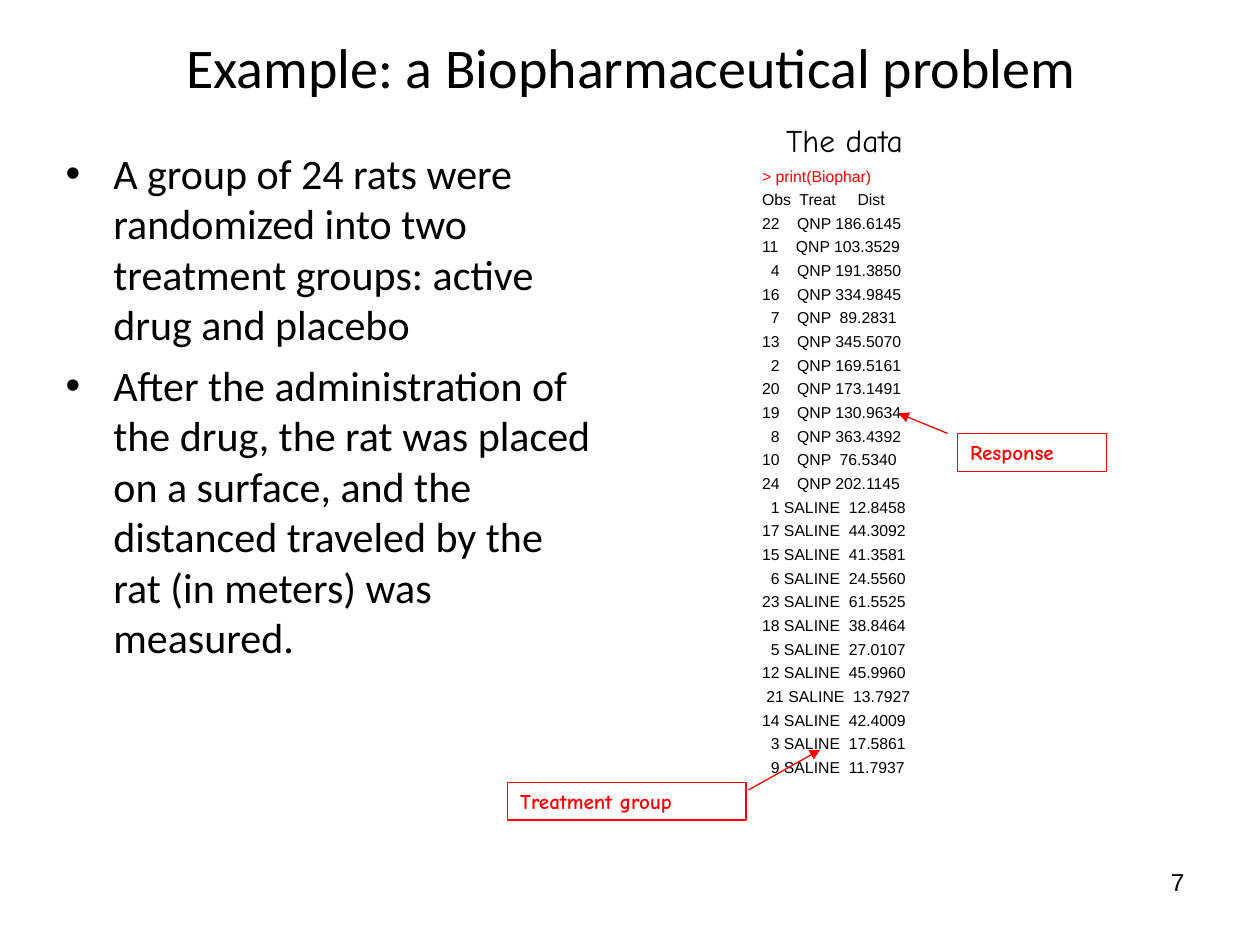
from lxml import etree
from pptx import Presentation
from pptx.dml.color import RGBColor
from pptx.enum.shapes import MSO_CONNECTOR as Connector, MSO_SHAPE as Shape
from pptx.enum.text import MSO_ANCHOR as Anchor, MSO_AUTO_SIZE as AutoSize, PP_ALIGN as Align
from pptx.oxml.ns import qn
from pptx.util import Inches, Pt

BLACK, RED = "000000", "FF0000"

POINTS = [
    "A group of 24 rats were randomized into two treatment groups: active drug and placebo",
    "After the administration of the drug, the rat was placed on a surface, and the "
    "distanced traveled by the rat (in meters) was measured.",
]

# Console printout, padded as the program printed it
PRINTOUT = """\
> print(Biophar)
Obs  Treat     Dist
22    QNP 186.6145
11    QNP 103.3529
  4    QNP 191.3850
16    QNP 334.9845
  7    QNP  89.2831
13    QNP 345.5070
  2    QNP 169.5161
20    QNP 173.1491
19    QNP 130.9634
  8    QNP 363.4392
10    QNP  76.5340
24    QNP 202.1145
  1 SALINE  12.8458
17 SALINE  44.3092
15 SALINE  41.3581
  6 SALINE  24.5560
23 SALINE  61.5525
18 SALINE  38.8464
  5 SALINE  27.0107
12 SALINE  45.9960
 21 SALINE  13.7927
14 SALINE  42.4009
  3 SALINE  17.5861
  9 SALINE  11.7937""".split("\n")


def color(value):
    return RGBColor.from_string(value)


def place(shape, box):
    for name, value in zip(("left", "top", "width", "height"), box):
        setattr(shape, name, Inches(value))


def write(shape, lines, font, size, fill=BLACK, bold=False, anchor=Anchor.TOP, **para_format):
    """Fill a shape with one paragraph per line, all formatted alike."""
    frame = shape.text_frame
    frame.word_wrap = True
    frame.auto_size = AutoSize.NONE
    frame.vertical_anchor = anchor
    frame.text = "\n".join(lines)
    for para in frame.paragraphs:
        for name, value in {"alignment": Align.LEFT, **para_format}.items():
            setattr(para, name, value)
        for span in para.runs:
            for name, value in {"name": font, "size": Pt(size), "bold": bold}.items():
                setattr(span.font, name, value)
            span.font.color.rgb = color(fill)
    return frame


def add_text(page, box, lines, font, size, **text_format):
    shape = page.shapes.add_textbox(*map(Inches, box))
    return write(shape, lines, font, size, **text_format)


def fill_title(page, box):
    title = page.shapes.title
    place(title, box)
    write(title, ["Example: a Biopharmaceutical problem"], "Calibri", 32,
          anchor=Anchor.MIDDLE, alignment=Align.CENTER)


def fill_points(page, box):
    body = page.placeholders[1]
    place(body, box)
    frame = write(body, POINTS, "Calibri", 24, space_before=Pt(6))
    for para in frame.paragraphs:
        props = para._p.get_or_add_pPr()
        props.set("marL", str(Inches(0.38)))
        props.set("indent", str(-Inches(0.38)))


def add_data(page, box):
    """Heading above the printout, whose command line is red."""
    left, top, width, height = box
    add_text(page, (left + 0.19, top, 2.91, 0.4), ["The data"], "Comic Neue", 18)
    frame = add_text(page, (left, top + 0.36, width, height - 0.36), PRINTOUT,
                     "Arial", 9, space_before=Pt(2.7))
    frame.paragraphs[0].runs[0].font.color.rgb = color(RED)


def add_callout(page, box, label, start, end):
    """Red framed label with an arrow; start and end are offsets from the box corner."""
    left, top = box[:2]
    frame = page.shapes.add_shape(Shape.RECTANGLE, *map(Inches, box))
    frame.shadow.inherit = False
    frame.fill.background()
    write(frame, [label], "Comic Neue", 12, fill=RED, bold=True)

    ends = [Inches(value) for x, y in (start, end) for value in (left + x, top + y)]
    arrow = page.shapes.add_connector(Connector.STRAIGHT, *ends)
    for shape in (frame, arrow):
        shape.line.color.rgb = color(RED)
        shape.line.width = Pt(0.75)
    etree.SubElement(arrow.line._get_or_add_ln(), qn("a:tailEnd"), type="triangle")
    etree.SubElement(arrow._element.spPr, qn("a:effectLst"))


def main():
    deck = Presentation()
    deck.slide_width, deck.slide_height = Inches(10), Inches(7.5)
    page = deck.slides.add_slide(deck.slide_layouts[1])
    fill_title(page, (0.51, 0.05, 9, 0.95))
    fill_points(page, (0.42, 1.12, 4.42, 4.95))
    add_data(page, (5.95, 0.91, 3.39, 5.31))
    add_callout(page, (7.6, 3.44, 1.18, 0.3), "Response", (-0.08, 0), (-0.47, -0.16))
    add_callout(page, (4.03, 6.21, 1.89, 0.3), "Treatment group", (1.91, 0.06), (2.48, -0.26))
    add_text(page, (7.17, 6.83, 2.33, 0.52), ["7"], "Arial", 14, alignment=Align.RIGHT)
    deck.save("out.pptx")


if __name__ == "__main__":
    main()
